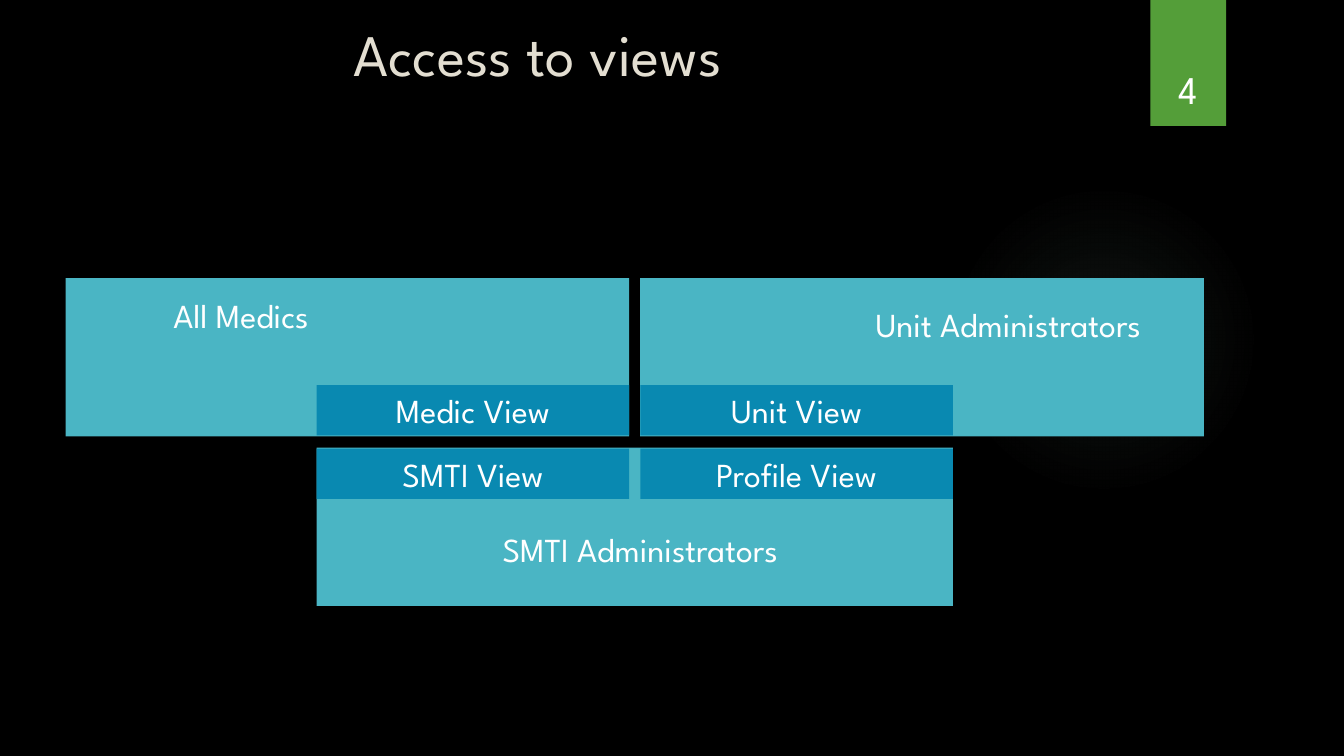
"""Build the slide showing which roles have access to which views."""
from dataclasses import dataclass

from pptx import Presentation
from pptx.dml.color import RGBColor
from pptx.enum.shapes import MSO_SHAPE
from pptx.enum.text import MSO_ANCHOR, PP_ALIGN
from pptx.oxml import parse_xml
from pptx.oxml.ns import nsdecls, qn
from pptx.shapes.autoshape import Shape
from pptx.slide import Slide
from pptx.util import Inches, Pt

COLORS = {
    "background": "000000",
    "halo": "87A896",
    "ribbon": "549E39",
    "role": "4AB5C4",
    "view": "0989B1",
    "title": "E3DED1",
    "text": "FFFFFF",
}
FONT = "League Spartan"
PAGE_WIDTH, PAGE_HEIGHT = Inches(13.33), Inches(7.5)
LEFT_COLUMN, RIGHT_COLUMN = 23.56, 47.64
UPPER_ROW, LOWER_ROW = 50.93, 59.33
VIEW_WIDTH, VIEW_HEIGHT = 23.26, 6.67
ROLE_WIDTH, ROLE_HEIGHT, ROLE_TOP = 41.94, 20.93, 36.8
ADMIN_LABEL_WIDTH = 25.66


@dataclass(frozen=True)
class Area:
    """A rectangle in percent of the slide's width and height."""

    left: float
    top: float
    width: float
    height: float

    def lengths(self) -> tuple[int, int, int, int]:
        """Return left, top, width and height as slide lengths."""
        return (
            round(PAGE_WIDTH * self.left / 100),
            round(PAGE_HEIGHT * self.top / 100),
            round(PAGE_WIDTH * self.width / 100),
            round(PAGE_HEIGHT * self.height / 100),
        )


@dataclass(frozen=True)
class Label:
    """Words with their size, colour and placement."""

    text: str
    size: int = 24
    color: str = "text"
    align: PP_ALIGN = PP_ALIGN.CENTER
    anchor: MSO_ANCHOR = MSO_ANCHOR.TOP


ROLE_AREAS = [
    Area(LEFT_COLUMN, 59.2, 47.34, ROLE_HEIGHT),
    Area(RIGHT_COLUMN, ROLE_TOP, ROLE_WIDTH, ROLE_HEIGHT),
    Area(4.88, ROLE_TOP, ROLE_WIDTH, ROLE_HEIGHT),
]
VIEWS = [
    ("Medic View", LEFT_COLUMN, UPPER_ROW),
    ("SMTI View", LEFT_COLUMN, LOWER_ROW),
    ("Profile View", RIGHT_COLUMN, LOWER_ROW),
    ("Unit View", RIGHT_COLUMN, UPPER_ROW),
]
TEXTS = [
    (Label("Access to views", 42, "title", PP_ALIGN.LEFT), Area(25.58, 1.73, 74.27, 19.33)),
    (Label("4", 28, anchor=MSO_ANCHOR.BOTTOM), Area(84.92, 4.27, 6.9, 11.2)),
    (Label("All Medics"), Area(6.3, 38.4, VIEW_WIDTH, VIEW_HEIGHT)),
    (Label("Unit Administrators"), Area(62.19, 39.6, ADMIN_LABEL_WIDTH, VIEW_HEIGHT)),
    (Label("SMTI Administrators"), Area(34.81, 69.33, ADMIN_LABEL_WIDTH, VIEW_HEIGHT)),
]


def write_label(shape: Shape, label: Label) -> None:
    """Put a formatted label into a shape."""
    frame = shape.text_frame
    frame.text = label.text
    frame.word_wrap = True
    frame.vertical_anchor = label.anchor
    para = frame.paragraphs[0]
    para.alignment = label.align
    span = para.runs[0]
    span.font.name = FONT
    span.font.size = Pt(label.size)
    span.font.color.rgb = RGBColor.from_string(COLORS[label.color])


def draw_panel(page: Slide, area: Area, color: str) -> Shape:
    """Draw a flat filled rectangle."""
    panel = page.shapes.add_shape(MSO_SHAPE.RECTANGLE, *area.lengths())
    panel.shadow.inherit = False
    panel.fill.solid()
    panel.fill.fore_color.rgb = RGBColor.from_string(COLORS[color])
    panel.line.fill.background()
    return panel


def draw_halo(page: Slide, area: Area) -> None:
    """Draw a faint circle that fades out towards its edge."""
    halo = page.shapes.add_shape(MSO_SHAPE.OVAL, *area.lengths())
    halo.shadow.inherit = False
    halo.line.fill.background()
    halo.fill.background()
    stops = "".join(
        f'<a:gs pos="{place * 1000}"><a:srgbClr val="{COLORS["halo"]}">'
        f'<a:alpha val="{opacity * 1000}"/></a:srgbClr></a:gs>'
        for place, opacity in ((0, 7), (36, 6), (69, 0))
    )
    gradient = parse_xml(
        f'<a:gradFill {nsdecls("a")}><a:gsLst>{stops}</a:gsLst><a:path path="circle">'
        '<a:fillToRect l="50000" t="50000" r="50000" b="50000"/></a:path></a:gradFill>'
    )
    properties = halo.element.spPr
    properties.replace(properties.find(qn("a:noFill")), gradient)


def main() -> None:
    """Create the deck and save it."""
    deck = Presentation()
    deck.slide_width, deck.slide_height = PAGE_WIDTH, PAGE_HEIGHT
    page = deck.slides.add_slide(deck.slide_layouts[6])
    page.background.fill.solid()
    page.background.fill.fore_color.rgb = RGBColor.from_string(COLORS["background"])

    draw_halo(page, Area(70.59, 24.4, 23.11, 41.07))
    draw_panel(page, Area(85.6, 0, 5.63, 16.67), "ribbon")
    for area in ROLE_AREAS:
        draw_panel(page, area, "role")
    for name, left, top in VIEWS:
        view = draw_panel(page, Area(left, top, VIEW_WIDTH, VIEW_HEIGHT), "view")
        write_label(view, Label(name))
    for label, area in TEXTS:
        write_label(page.shapes.add_textbox(*area.lengths()), label)

    deck.save("out.pptx")


if __name__ == "__main__":
    main()
